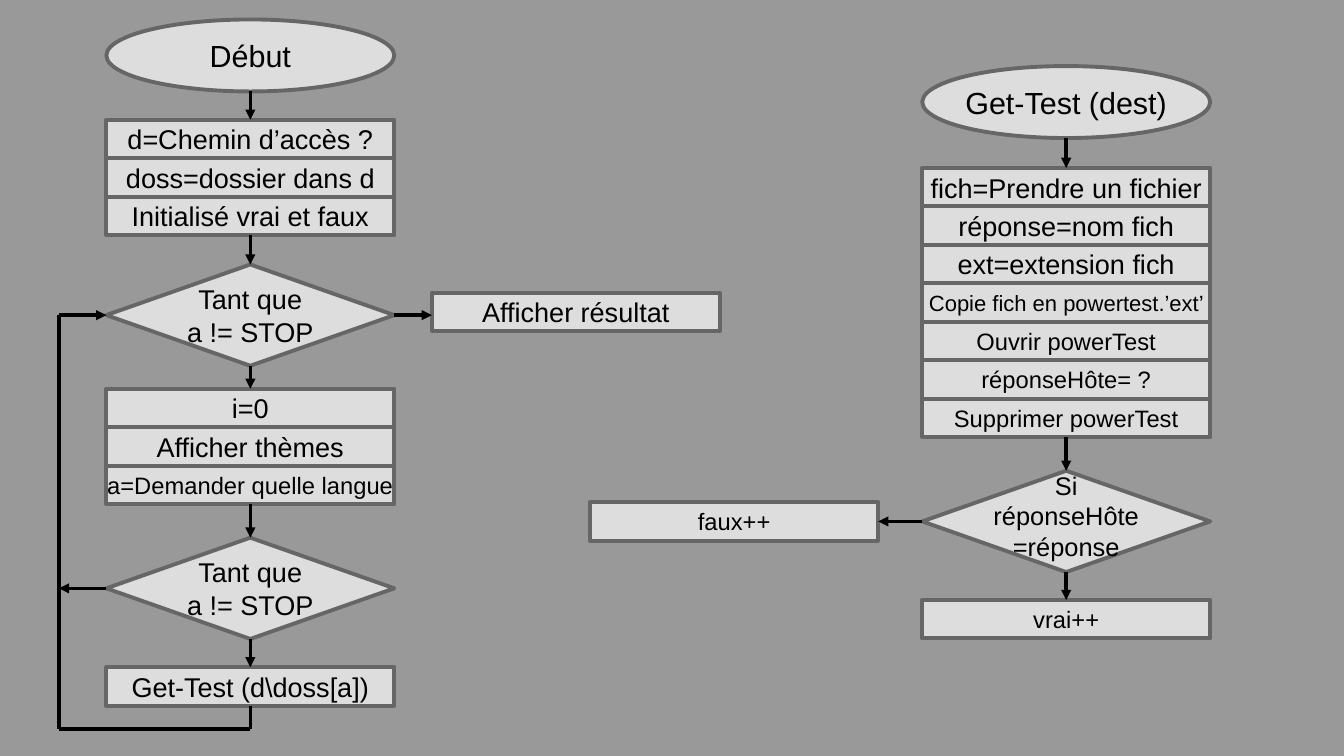
from lxml import etree
from pptx import Presentation
from pptx.dml.color import RGBColor
from pptx.enum import shapes, text
from pptx.oxml import ns
from pptx.util import Pt

BACKGROUND = RGBColor(0x99, 0x99, 0x99)
BOX_FILL = RGBColor(0xDD, 0xDD, 0xDD)
BOX_LINE = RGBColor(0x66, 0x66, 0x66)
BLACK = RGBColor(0, 0, 0)

FONT = "Arial"
BOX_WIDTH = 170
OVAL_HEIGHT = 42.5
STEP_HEIGHT = 22.7
DIAMOND_HEIGHT = 59.8
TOP, LEFT, BOTTOM, RIGHT = range(4)


def add_box(slide, kind, left, top, height, lines, size, bottom_inset=4.3):
    box = slide.shapes.add_shape(kind, Pt(left), Pt(top), Pt(BOX_WIDTH), Pt(height))
    box.shadow.inherit = False
    box.fill.solid()
    box.fill.fore_color.rgb = BOX_FILL
    box.line.color.rgb = BOX_LINE
    box.line.width = Pt(2.3)
    frame = box.text_frame
    frame.word_wrap = False
    frame.vertical_anchor = text.MSO_ANCHOR.MIDDLE
    frame.margin_left = frame.margin_right = Pt(7.9)
    frame.margin_top, frame.margin_bottom = Pt(4.3), Pt(bottom_inset)
    for index, line in enumerate(lines):
        paragraph = frame.add_paragraph() if index else frame.paragraphs[0]
        paragraph.alignment = text.PP_ALIGN.CENTER
        run = paragraph.add_run()
        run.text = line
        run.font.name = FONT
        run.font.size = Pt(size)
        run.font.color.rgb = BLACK
    return box


def add_oval(slide, left, top, label):
    return add_box(slide, shapes.MSO_SHAPE.OVAL, left, top, OVAL_HEIGHT, [label], 18)


def add_diamond(slide, left, top, lines, size=16, bottom_inset=4.3):
    return add_box(slide, shapes.MSO_SHAPE.DIAMOND, left, top, DIAMOND_HEIGHT,
                   lines, size, bottom_inset)


def add_steps(slide, left, top, steps):
    """Stack steps, given as (label, size), and return their boxes."""
    return [add_box(slide, shapes.MSO_SHAPE.RECTANGLE, left, top + row * STEP_HEIGHT,
                    STEP_HEIGHT, [label], size)
            for row, (label, size) in enumerate(steps)]


def side(box, site):
    """Middle of one side of a box."""
    across = {LEFT: 0, RIGHT: box.width}.get(site, box.width // 2)
    down = {TOP: 0, BOTTOM: box.height}.get(site, box.height // 2)
    return box.left + across, box.top + down


def add_line(slide, start, end, arrow=True):
    line = slide.shapes.add_connector(shapes.MSO_CONNECTOR.STRAIGHT, *start, *end)
    line.line.color.rgb = BLACK
    line.line.width = Pt(0)
    if arrow:
        etree.SubElement(line.line._get_or_add_ln(), ns.qn("a:tailEnd"), type="triangle")
    etree.SubElement(line._element.spPr, ns.qn("a:effectLst"))
    return line


def join(slide, source, target, source_side=BOTTOM, target_side=TOP):
    """Arrow between two boxes; an oval has other sites, so it is not glued."""
    arrow = add_line(slide, side(source, source_side), side(target, target_side))
    if source.auto_shape_type != shapes.MSO_SHAPE.OVAL:
        arrow.begin_connect(source, source_side)
    arrow.end_connect(target, target_side)


def add_main_flow(slide, left, top):
    start = add_oval(slide, left, top, "Début")
    setup = add_steps(slide, left, top + 59.2, [
        ("d=Chemin d’accès ?", 16),
        ("doss=dossier dans d", 16),
        ("Initialisé vrai et faux", 16),
    ])
    outer_test, inner_test = [
        add_diamond(slide, left, top + offset, ["Tant que", "a != STOP"])
        for offset in (144.7, 306)]
    themes = add_steps(slide, left, top + 218.1, [
        ("i=0", 16),
        ("Afficher thèmes", 16),
        ("a=Demander quelle langue", 14),
    ])
    [call] = add_steps(slide, left, top + 382.5, [("Get-Test (d\\doss[a])", 16)])
    [result] = add_steps(slide, left + 192.2, top + 161.3, [("Afficher résultat", 16)])

    # Downward path
    for upper, lower in ((start, setup[0]), (setup[-1], outer_test),
                         (outer_test, themes[0]), (themes[-1], inner_test),
                         (inner_test, call)):
        join(slide, upper, lower)

    # Exit to the result
    exit_x, exit_y = side(outer_test, RIGHT)
    exit_arrow = add_line(slide, (exit_x, exit_y), (result.left, exit_y))
    exit_arrow.begin_connect(outer_test, RIGHT)

    # Loop back to the outer test
    loop_x, loop_y = Pt(left - 28), Pt(top + 419)
    call_x, call_y = side(call, BOTTOM)
    outer_y = side(outer_test, LEFT)[1]
    inner_x, inner_y = side(inner_test, LEFT)
    descent = add_line(slide, (call_x, call_y), (call_x, loop_y), arrow=False)
    descent.begin_connect(call, BOTTOM)
    add_line(slide, (call_x, loop_y), (loop_x, loop_y), arrow=False)
    add_line(slide, (loop_x, loop_y), (loop_x, outer_y), arrow=False)
    entry = add_line(slide, (loop_x, outer_y), side(outer_test, LEFT))
    entry.end_connect(outer_test, LEFT)
    leave = add_line(slide, (inner_x, inner_y), (loop_x, inner_y))
    leave.begin_connect(inner_test, LEFT)


def add_test_flow(slide, left, top):
    start = add_oval(slide, left, top, "Get-Test (dest)")
    steps = add_steps(slide, left, top + 60.2, [
        ("fich=Prendre un fichier", 16),
        ("réponse=nom fich", 16),
        ("ext=extension fich", 16),
        ("Copie fich en powertest.’ext’", 13),
        ("Ouvrir powerTest", 14),
        ("réponseHôte= ?", 14),
        ("Supprimer powerTest", 14),
    ])
    answer_test = add_diamond(slide, left, top + 239,
                              ["Si", "réponseHôte", "=réponse"], 15, bottom_inset=11.2)
    [right_count] = add_steps(slide, left, top + 315.3, [("vrai++", 14)])
    wrong_top = top + 239 + (DIAMOND_HEIGHT - STEP_HEIGHT) / 2
    [wrong_count] = add_steps(slide, left - 196, wrong_top, [("faux++", 14)])

    # Path through the test, with its two outcomes
    join(slide, start, steps[0])
    join(slide, steps[-1], answer_test)
    join(slide, answer_test, right_count)
    join(slide, answer_test, wrong_count, LEFT, RIGHT)


def main():
    deck = Presentation()
    deck.slide_width, deck.slide_height = Pt(793.5), Pt(446.4)
    slide = deck.slides.add_slide(deck.slide_layouts[6])
    slide.background.fill.solid()
    slide.background.fill.fore_color.rgb = BACKGROUND
    add_main_flow(slide, 62.8, 11.5)
    add_test_flow(slide, 544.5, 39)
    deck.save("out.pptx")


if __name__ == "__main__":
    main()
